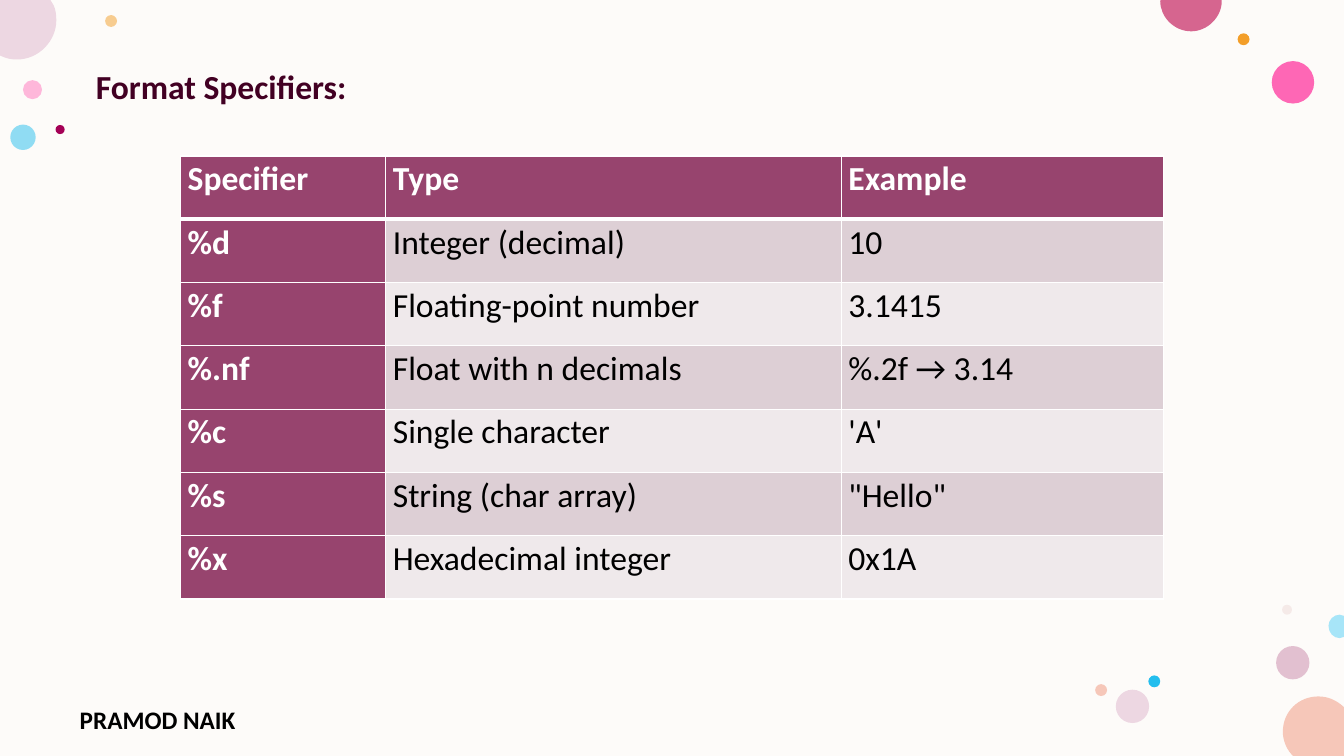
"""Build the format specifiers slide: a reference table among coloured bubbles."""
import pptx
import pptx.dml.color
import pptx.enum.shapes
import pptx.enum.text
import pptx.oxml
import pptx.util

Cm = pptx.util.Cm
Pt = pptx.util.Pt
MSO_SHAPE = pptx.enum.shapes.MSO_SHAPE
qn = pptx.oxml.ns.qn
FONT = "Calibri"

COLORS = {
    "background": "FDFBF9", "title": "420023", "text": "000000", "white": "FFFFFF",
    "plum": "97446E", "band_dark": "DDCFD5", "band_light": "EFE9EB",
    "pink": "FF75BD", "orange": "F39E29", "mauve": "C987A8", "blue": "24BEEE",
    "magenta": "FF2F9C", "blush": "E3BEBE", "lilac": "EDD7E2", "peach": "F6C7B9",
    "rose": "D6658F", "wine": "A40056", "sky": "A7E5F8",
}

BUBBLES = [
    (0.58, 2.02, 0.48, "pink", 50),
    (2.65, 0.38, 0.3, "orange", 50),
    (32.16, 16.28, 0.84, "mauve", 50),
    (0.26, 3.14, 0.64, "blue", 50),
    (32.05, 1.54, 1.07, "magenta", 72),
    (31.19, 0.84, 0.3, "orange", 100),
    (32.31, 15.24, 0.25, "blush", 28),
    (28.94, 17.02, 0.3, "blue", 100),
    (28.12, 17.38, 0.84, "lilac", 100),
    (27.6, 17.24, 0.3, "peach", 100),
    (1.4, 3.15, 0.23, "wine", 100),
]

EDGE_BUBBLES = [
    ("peach", (33.22, 17.55), [
        [(33.48, 17.55), (33.68, 17.65), (33.86, 17.81)],
        [(33.87, 17.83)], [(33.87, 19.05)], [(32.59, 19.05)], [(32.54, 19)],
        [(32.41, 18.85), (32.33, 18.64), (32.33, 18.44)],
        [(32.33, 17.93), (32.73, 17.55), (33.22, 17.55)]]),
    ("lilac", (0, 0), [
        [(1.27, 0)], [(1.35, 0.13)],
        [(1.4, 0.23), (1.42, 0.36), (1.42, 0.51)],
        [(1.42, 1.04), (0.97, 1.5), (0.43, 1.5)],
        [(0.28, 1.5), (0.15, 1.47), (0.05, 1.42)], [(0, 1.4)]]),
    ("rose", (29.25, 0), [
        [(30.79, 0)], [(30.79, 0.03)],
        [(30.79, 0.43), (30.43, 0.79), (30.02, 0.79)],
        [(29.59, 0.79), (29.24, 0.43), (29.24, 0.03)]]),
    ("sky", (33.76, 15.49), [
        [(33.87, 15.52)], [(33.87, 16.05)], [(33.76, 16.08)],
        [(33.61, 16.08), (33.48, 15.95), (33.48, 15.77)],
        [(33.48, 15.62), (33.61, 15.49), (33.76, 15.49)]]),
]

COLUMN_WIDTHS = [5.17, 11.48, 8.13]
TABLE_HEIGHT = 11.17
ROWS = [
    ("Specifier", "Type", "Example"),
    ("%d", "Integer (decimal)", "10"),
    ("%f", "Floating-point number", "3.1415"),
    ("%.nf", "Float with n decimals", "%.2f → 3.14"),
    ("%c", "Single character", "'A'"),
    ("%s", "String (char array)", "\"Hello\""),
    ("%x", "Hexadecimal integer", "0x1A"),
]


def rgb(name):
    """Return the named colour."""
    return pptx.dml.color.RGBColor.from_string(COLORS[name])


def paint(sp, color, opacity=100):
    """Give a shape a flat fill with the given opacity and no outline or shadow."""
    sp.shadow.inherit = False
    sp.fill.solid()
    sp.fill.fore_color.rgb = rgb(color)
    sp.line.fill.background()
    if opacity < 100:
        clr = sp.fill._xPr.find(".//" + qn("a:srgbClr"))
        clr.append(pptx.oxml.parse_xml(
            f'<a:alpha {pptx.oxml.ns.nsdecls("a")} val="{opacity * 1000}"/>'))


def add_bubble(s, left, top, size, color, opacity):
    """Add a whole circle."""
    sp = s.shapes.add_shape(MSO_SHAPE.OVAL, Cm(left), Cm(top), Cm(size), Cm(size))
    paint(sp, color, opacity)


def add_edge_bubble(s, color, start, segments):
    """Add a cut-off circle; three-point segments are Bezier curves."""
    points = [(Cm(x), Cm(y)) for segment in segments for x, y in segment]
    builder = s.shapes.build_freeform(Cm(start[0]), Cm(start[1]))
    builder.add_line_segments(points, close=True)
    sp = builder.convert_to_shape()
    lines = iter(list(sp._element.iter(qn("a:lnTo"))))
    for segment in segments:
        first, *others = [next(lines) for _ in segment]
        if others:
            first.tag = qn("a:cubicBezTo")
            for line in others:
                first.append(line[0])
                line.getparent().remove(line)
    paint(sp, color)


def style_text(p, size, color, bold):
    """Set the font of a paragraph."""
    p.font.name = FONT
    p.font.size = Pt(size)
    p.font.bold = bold
    p.font.color.rgb = rgb(color)


def set_title(s, text):
    """Place and format the title."""
    sp = s.shapes.title
    sp.left, sp.top, sp.width, sp.height = Cm(2.16), Cm(1.65), Cm(29.62), Cm(1.3)
    tf = sp.text_frame
    tf.text = text
    tf.vertical_anchor = pptx.enum.text.MSO_ANCHOR.TOP
    p = tf.paragraphs[0]
    p.alignment = pptx.enum.text.PP_ALIGN.LEFT
    p.line_spacing = 0.9
    style_text(p, 24, "title", True)


def add_author(s, text):
    """Add the author's name at the bottom left."""
    sp = s.shapes.add_textbox(Cm(1.76), Cm(17.63), Cm(6.22), Cm(0.81))
    tf = sp.text_frame
    tf.word_wrap = True
    tf.text = text
    style_text(tf.paragraphs[0], 18, "text", True)


def fill_cell(cell, text, fill, color, bold):
    """Write and format one table cell."""
    cell.fill.solid()
    cell.fill.fore_color.rgb = rgb(fill)
    cell.margin_left = cell.margin_right = Cm(0.18)
    cell.margin_top = cell.margin_bottom = 0
    cell.text = text
    p = cell.text_frame.paragraphs[0]
    p.line_spacing = 1.07
    p.space_after = Pt(8)
    style_text(p, 24, color, bold)


def add_borders(cell, widths):
    """Draw white cell borders, given a width in points for each side."""
    tcPr = cell._tc.get_or_add_tcPr()
    for i, (side, width) in enumerate(widths.items()):
        tcPr.insert(i, pptx.oxml.parse_xml(
            f'<a:ln{side} {pptx.oxml.ns.nsdecls("a")} w="{Pt(width)}"><a:solidFill>'
            f'<a:srgbClr val="{COLORS["white"]}"/></a:solidFill></a:ln{side}>'))


def add_specifier_table(s):
    """Add the table with a header row, a header column and banded rows."""
    frame = s.shapes.add_table(
        len(ROWS), len(COLUMN_WIDTHS), Cm(4.55), Cm(3.93),
        Cm(sum(COLUMN_WIDTHS)), Cm(TABLE_HEIGHT))
    table = frame.table
    table.first_col = True
    for column, width in zip(table.columns, COLUMN_WIDTHS):
        column.width = Cm(width)
    for i, texts in enumerate(ROWS):
        band = "band_dark" if i % 2 else "band_light"
        for j, text in enumerate(texts):
            cell = table.cell(i, j)
            if i == 0 or j == 0:
                fill_cell(cell, text, "plum", "white", True)
            else:
                fill_cell(cell, text, band, "text", False)
            add_borders(cell, {"L": 1, "R": 1, "T": 3 if i == 1 else 1, "B": 1 if i else 3})


def main():
    """Build and save the slide."""
    prs = pptx.Presentation()
    prs.slide_width, prs.slide_height = Cm(33.87), Cm(19.05)
    s = prs.slides.add_slide(prs.slide_layouts[5])
    backdrop = s.shapes.add_shape(
        MSO_SHAPE.RECTANGLE, 0, 0, prs.slide_width, prs.slide_height)
    paint(backdrop, "background")
    s.shapes._spTree.insert(2, backdrop._element)
    for bubble in BUBBLES:
        add_bubble(s, *bubble)
    for bubble in EDGE_BUBBLES:
        add_edge_bubble(s, *bubble)
    add_author(s, "PRAMOD NAIK")
    set_title(s, "Format Specifiers:")
    add_specifier_table(s)
    prs.save("out.pptx")


if __name__ == "__main__":
    main()
